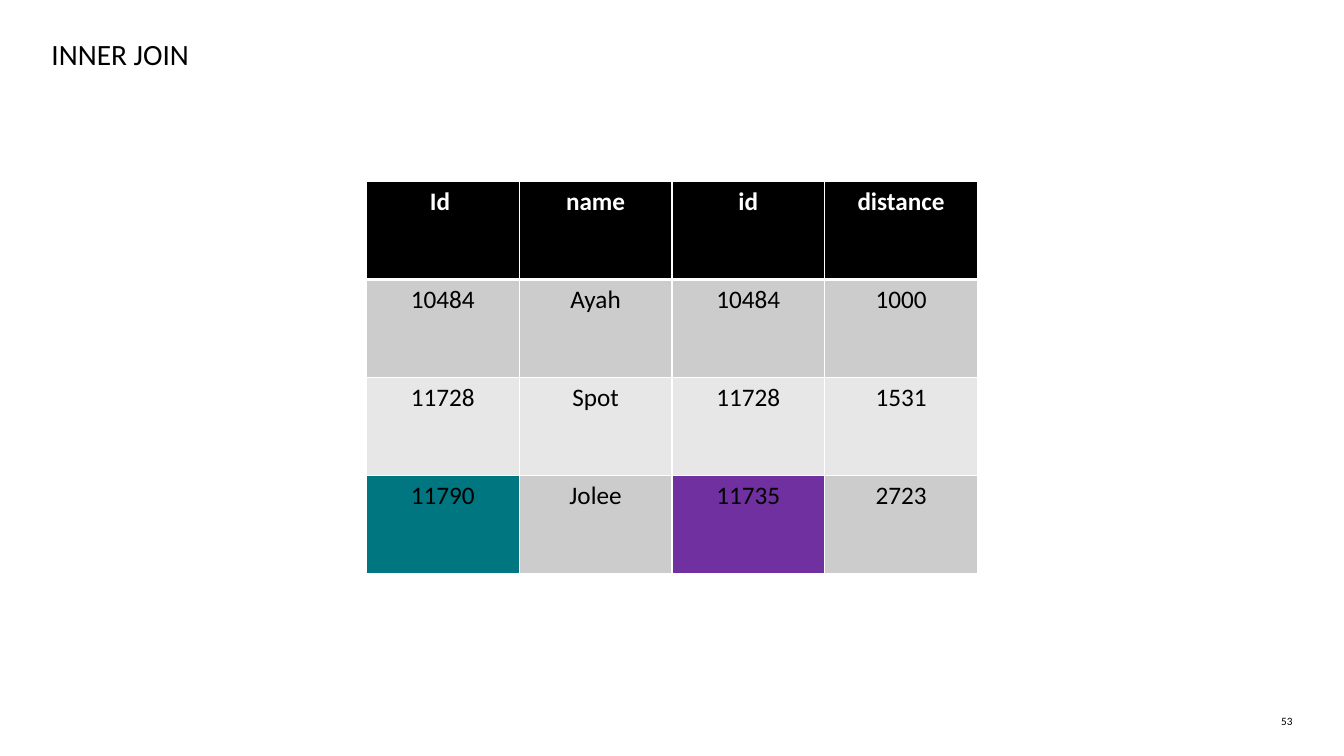
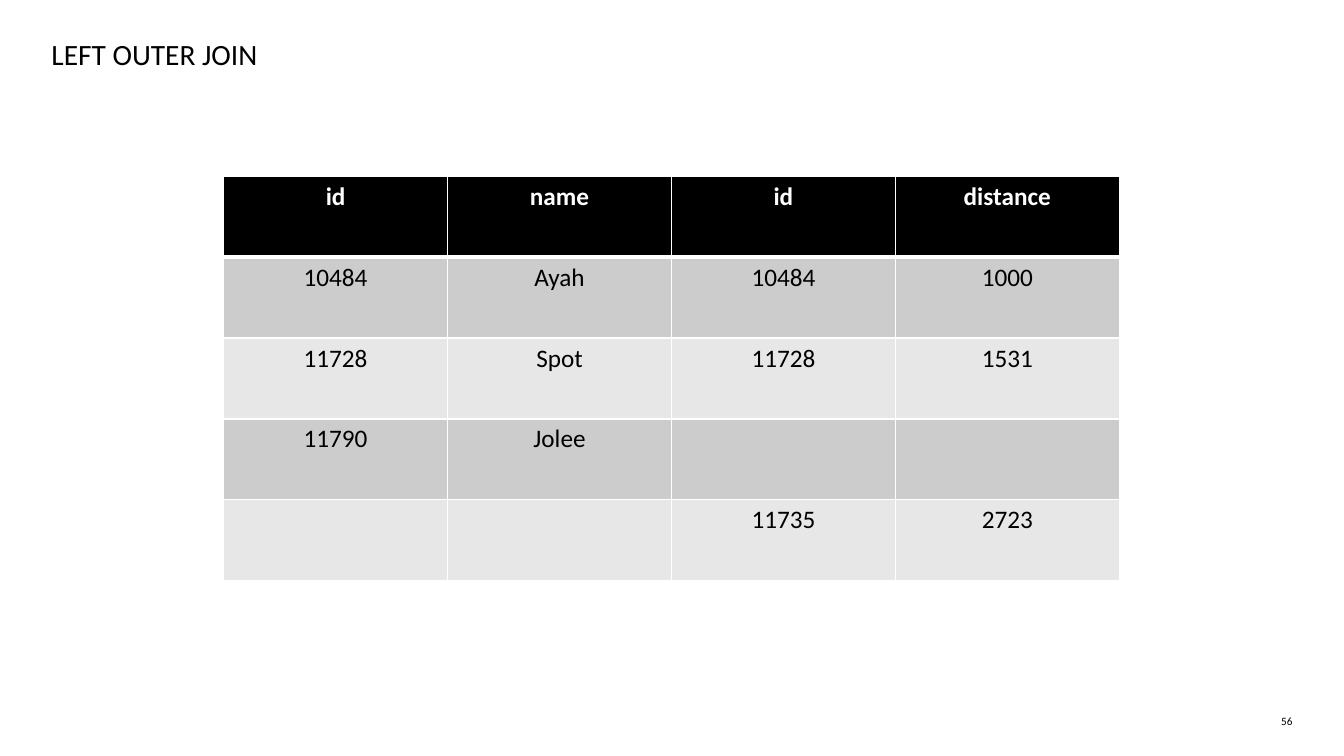
from lxml import etree
from pptx import Presentation
from pptx.dml.color import RGBColor
from pptx.enum.text import MSO_ANCHOR, MSO_AUTO_SIZE, PP_ALIGN
from pptx.oxml.ns import qn
from pptx.util import Pt

LEFT, MID, RIGHT = PP_ALIGN.LEFT, PP_ALIGN.CENTER, PP_ALIGN.RIGHT
TOP, BASE = MSO_ANCHOR.TOP, MSO_ANCHOR.BOTTOM
FIXED = MSO_AUTO_SIZE.NONE
SCALE = 9525
FONT = "Calibri"
BLACK, WHITE = "000000", "FFFFFF"
BANDS = "CCCCCC", "E7E7E7"
TEAL, PURPLE = "007680", "7030A0"
TITLE = 49, 32, 1176, 36
NUMBER = 1198, 680, 33, 12

HEAD = ["name", "id", "distance"]
MATCHED = [
    ["10484", "Ayah", "10484", "1000"],
    ["11728", "Spot", "11728", "1531"],
]
INNER = [["Id ", *HEAD], *MATCHED, ["11790", "Jolee", "11735", "2723"]]
OUTER = [
    ["id", *HEAD],
    *MATCHED,
    ["11790", "Jolee", "", ""],
    ["", "", "11735", "2723"],
]
MARKS = {(3, 0): TEAL, (3, 2): PURPLE}


def px(*nums):
    """Turn pixel lengths into a list of EMU."""
    return [num * SCALE for num in nums]


def color(code):
    """Turn a hex string into a colour."""
    return RGBColor.from_string(code)


def write(frame, text, size=18, ink=BLACK, bold=False, align=LEFT):
    """Write one formatted paragraph into a text frame."""
    para = frame.paragraphs[0]
    para.alignment = align
    run = para.add_run()
    run.text = text
    font = run.font
    font.name, font.size, font.bold = FONT, Pt(size), bold
    font.color.rgb = color(ink)


def setup(shape, anchor):
    """Give a text shape no insets, a fixed size and an anchor."""
    frame = shape.text_frame
    frame.margin_left = frame.margin_right = 0
    frame.margin_top = frame.margin_bottom = 0
    frame.auto_size, frame.word_wrap = FIXED, True
    frame.vertical_anchor = anchor
    return frame


def edge(cell, side, width):
    """Draw a white border on one side of a cell."""
    line = etree.SubElement(cell._tc.get_or_add_tcPr(), qn("a:ln" + side))
    line.set("w", str(Pt(width)))
    fill = etree.SubElement(line, qn("a:solidFill"))
    etree.SubElement(fill, qn("a:srgbClr")).set("val", WHITE)


def paint(cell, text, row, mark):
    """Style a cell by its row and write its text."""
    first = row == 0
    edge(cell, "L", 1)
    edge(cell, "R", 1)
    edge(cell, "T", 3 if row == 1 else 1)
    edge(cell, "B", 3 if first else 1)
    cell.fill.solid()
    shade = BLACK if first else BANDS[(row - 1) % 2]
    cell.fill.fore_color.rgb = color(mark or shade)
    if text:
        ink = WHITE if first else BLACK
        write(cell.text_frame, text, ink=ink, bold=first, align=MID)


def grid(slide, box, rows, marks):
    """Fill a box with a table of equal rows and columns."""
    left, top, width, height = px(*box)
    count, cols = len(rows), len(rows[0])
    table = slide.shapes.add_table(count, cols, left, top, width, height).table
    for col in table.columns:
        col.width = width // cols
    for row, texts in enumerate(rows):
        table.rows[row].height = height // count
        for col, text in enumerate(texts):
            paint(table.cell(row, col), text, row, marks.get((row, col)))


def page(deck, title, number, box, rows, marks):
    """Add a slide with a title, a page number and a table."""
    slide = deck.slides.add_slide(deck.slide_layouts[5])
    head = slide.shapes.title
    head.left, head.top, head.width, head.height = px(*TITLE)
    write(setup(head, BASE), title, size=21)
    note = slide.shapes.add_textbox(*px(*NUMBER))
    write(setup(note, TOP), number, size=8, align=RIGHT)
    grid(slide, box, rows, marks)


def main():
    """Build and save the deck."""
    deck = Presentation()
    deck.slide_width, deck.slide_height = px(1280, 720)
    page(deck, "INNER JOIN", "53", (349, 173, 582, 373), INNER, MARKS)
    page(deck, "LEFT OUTER JOIN", "56", (213, 168, 853, 385), OUTER, {})
    deck.save("out.pptx")


if __name__ == "__main__":
    main()
